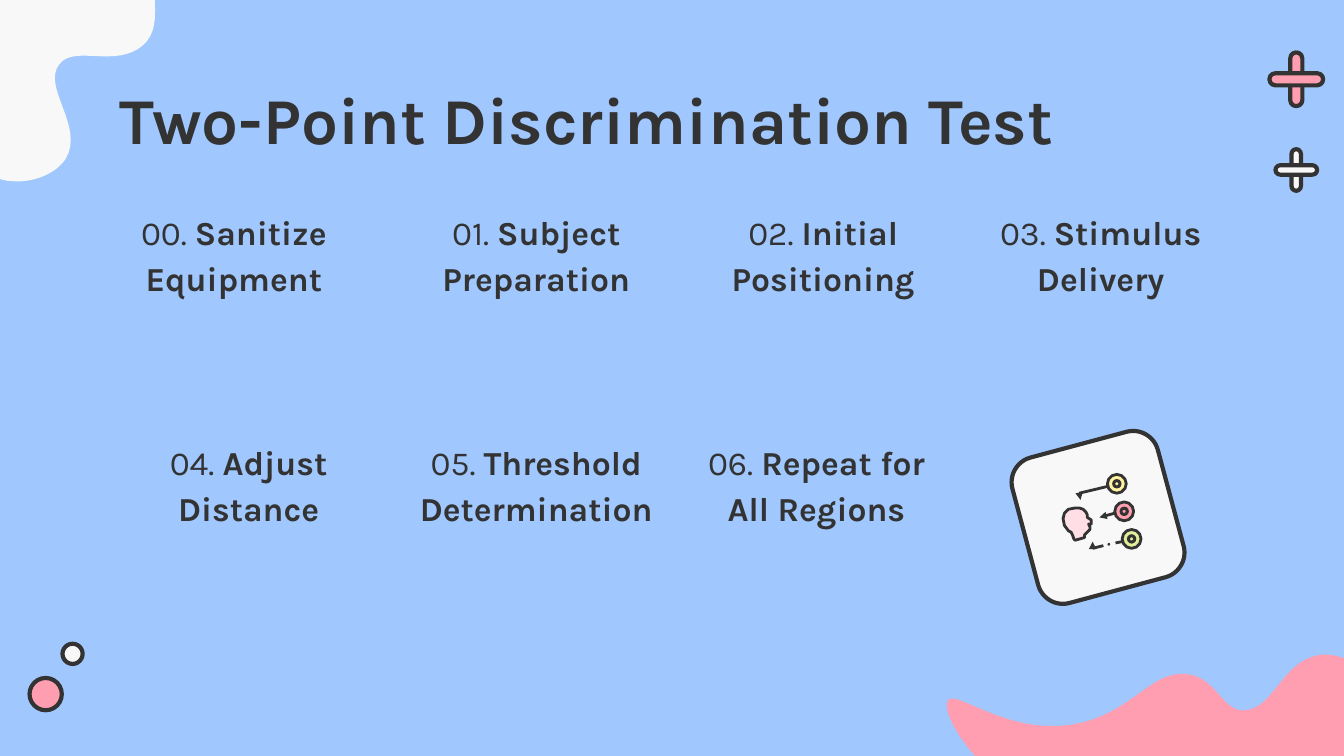
from lxml import etree
from pptx import Presentation
from pptx import util as u
from pptx.dml.color import RGBColor
from pptx.enum import shapes, text
from pptx.oxml.ns import qn

SKY = RGBColor(0xA0, 0xC8, 0xFF)
INK = RGBColor(0x33, 0x33, 0x33)
PAPER = RGBColor(0xF8, 0xF8, 0xF8)
PINK = RGBColor(0xFF, 0x9E, 0xB1)
BLUSH = RGBColor(0xFF, 0xDF, 0xE5)
YELLOW = RGBColor(0xFF, 0xF3, 0xA0)
GREEN = RGBColor(0xE0, 0xEF, 0x9B)

COLUMNS = 10
ROWS = COLUMNS * 9 / 16
CELL = u.Inches(1)
OUTLINE, ICON_LINE = 2.25, 1.5

TITLE_FORMAT = {"name": "Karla", "size": u.Pt(35), "bold": True}
NUMBER_FORMAT = {"name": "Karla", "size": u.Pt(18), "bold": False}
STEP_FORMAT = {**NUMBER_FORMAT, "bold": True}

STEP_ROWS = [
    (2.32, [(0.33, 2.82, "00. ", "Sanitize\nEquipment"),
            (2.93, 2.12, "01. ", "Subject Preparation"),
            (5.13, 1.99, "02. ", "Initial Positioning"),
            (7.13, 2.12, "03. ", "Stimulus Delivery")]),
    (4.03, [(0.79, 2.12, "04. ", "Adjust Distance"),
            (2.93, 2.12, "05. ", "Threshold Determination"),
            (5.08, 1.99, "06. ", "Repeat for All Regions")]),
]
CORNER_CURVES = [
    (0.13, 1.35), (0.25, 1.35), (0.41, 1.3), (0.49, 1.18), (0.63, 0.94), (0.31, 0.65),
    (0.44, 0.48), (0.55, 0.33), (0.86, 0.51), (1.06, 0.34), (1.26, 0.17), (1.05, -0.14),
    (1.22, -0.49), (1.44, -0.97), (2.14, -1), (2.12, -1.11), (2.1, -1.27), (0.7, -1.52),
    (-0.15, -0.72), (-0.25, -0.63), (-0.65, -0.26), (-0.66, 0.27), (-0.67, 0.81),
    (-0.27, 1.36), (0.13, 1.35)]
WAVE_CURVES = [
    (3.15, -0.02), (3.08, -0.08), (2.95, -0.15), (2.81, -0.13), (2.54, -0.08), (2.48, 0.26),
    (2.27, 0.28), (2.09, 0.3), (2.06, 0.03), (1.82, 0.01), (1.57, -0.01), (1.44, 0.27),
    (1.06, 0.37), (0.55, 0.5), (0.14, 0.14), (0.06, 0.2), (-0.06, 0.3), (0.52, 1.22),
    (1.63, 1.26), (1.76, 1.26), (2.28, 1.28), (2.71, 1.01), (3.15, 0.72), (3.38, 0.19),
    (3.15, -0.02)]
HEAD_POINTS = [
    (0.5, 0.63), (0.49, 0.61), (0.51, 0.61), (0.51, 0.58), (0.48, 0.56), (0.48, 0.54),
    (0.47, 0.52), (0.45, 0.5), (0.42, 0.49), (0.39, 0.49), (0.34, 0.5), (0.31, 0.53),
    (0.3, 0.57), (0.31, 0.62), (0.34, 0.66), (0.36, 0.67), (0.37, 0.69), (0.38, 0.72),
    (0.39, 0.73), (0.46, 0.71), (0.46, 0.69), (0.48, 0.67), (0.5, 0.65)]
ICON_ROUTES = [
    ([(0.63, 0.33), (0.42, 0.38), (0.43, 0.43)], True),
    ([(0.68, 0.53), (0.57, 0.56)], True),
    ([(0.74, 0.74), (0.69, 0.75)], False),
    ([(0.6, 0.77), (0.52, 0.79), (0.52, 0.74)], True),
]


def cells(*lengths):
    """Turn grid cells into slide lengths."""
    return [u.Emu(round(length * CELL)) for length in lengths]


def paint(shape, fill, weight=0):
    """Give a shape a flat fill and an ink outline, if it has a weight."""
    shape.shadow.inherit = False
    shape.fill.solid()
    shape.fill.fore_color.rgb = fill
    if weight:
        shape.line.color.rgb = INK
        shape.line.width = u.Pt(weight)
    else:
        shape.line.fill.background()


def add_preset(page, kind, box, fill, weight=0, turn=0, adjust=None):
    """Draw one preset shape in a box."""
    shape = page.shapes.add_shape(kind, *cells(*box))
    paint(shape, fill, weight)
    shape.rotation = turn
    if adjust is not None:
        shape.adjustments[0] = adjust


def add_disc(page, centre, size, fill, weight=0, kind=shapes.MSO_SHAPE.OVAL, adjust=None):
    """Draw a round shape about its centre."""
    x, y = centre
    add_preset(page, kind, (x - size / 2, y - size / 2, size, size), fill, weight, 0, adjust)


def add_outline(page, box, points, fill, weight=0):
    """Draw a closed outline from points relative to a box."""
    spots = [cells(box[0] + x, box[1] + y) for x, y in points]
    builder = page.shapes.build_freeform(*spots[0], scale=1.0)
    builder.add_line_segments(spots[1:], close=True)
    paint(builder.convert_to_shape(), fill, weight)


def trace(curves, steps=16):
    """Sample a chain of cubic curves into points."""
    points = []
    for start in range(0, len(curves) - 1, 3):
        for step in range(steps):
            t = step / steps
            shares = ((1 - t) ** 3, 3 * t * (1 - t) ** 2, 3 * t * t * (1 - t), t ** 3)
            knots = curves[start:start + 4]
            points.append(tuple(sum(s * k[axis] for s, k in zip(shares, knots))
                                for axis in (0, 1)))
    return points


def add_route(page, box, points, arrow):
    """Join points relative to a box, with an optional arrowhead at the end."""
    for start, end in zip(points, points[1:]):
        ends = [box[axis] + point[axis] for point in (start, end) for axis in (0, 1)]
        link = page.shapes.add_connector(shapes.MSO_CONNECTOR.STRAIGHT, *cells(*ends))
        link.line.color.rgb = INK
        link.line.width = u.Pt(ICON_LINE)
        if arrow and end == points[-1]:
            etree.SubElement(link.line._get_or_add_ln(), qn("a:tailEnd"),
                             type="triangle", w="sm", len="sm")
        etree.SubElement(link._element.spPr, qn("a:effectLst"))


def add_text(page, box, lines, anchor, layout):
    """Write lines of (words, format) spans in a box."""
    frame = page.shapes.add_textbox(*cells(*box)).text_frame
    margins = {f"margin_{side}": u.Inches(0.1) for side in ("left", "right", "top", "bottom")}
    for name, value in {**margins, "word_wrap": True, "vertical_anchor": anchor}.items():
        setattr(frame, name, value)
    for index, line in enumerate(lines):
        para = frame.add_paragraph() if index else frame.paragraphs[0]
        for name, value in layout.items():
            setattr(para, name, value)
        for words, style in line:
            span = para.add_run()
            span.text = words
            span.font.color.rgb = INK
            for name, value in style.items():
                setattr(span.font, name, value)


def add_step(page, box, number, label):
    """Write one numbered step on the floor of its box."""
    first, *rest = label.split("\n")
    lines = [[(number, NUMBER_FORMAT), (first, STEP_FORMAT)]]
    lines += [[(words, STEP_FORMAT)] for words in rest]
    add_text(page, box, lines, text.MSO_ANCHOR.BOTTOM,
             {"alignment": text.PP_ALIGN.CENTER, "line_spacing": 1.15})


def add_plus(page, box, fill):
    """Cross two rounded bars in a box."""
    for turn in (0, 90):
        add_preset(page, shapes.MSO_SHAPE.ROUNDED_RECTANGLE, box, fill, OUTLINE, turn, 0.5)


def add_decor(page, box):
    """Place the blobs, discs and pluses around the edges of a box."""
    left, top, width, height = box
    add_disc(page, (left + 0.54, top + height - 0.76), 0.15, PAPER, OUTLINE)
    add_disc(page, (left + 0.34, top + height - 0.46), 0.24, PINK, OUTLINE)
    add_plus(page, (left + width - 0.4, top + 0.39, 0.09, 0.4), PINK)
    add_plus(page, (left + width - 0.39, top + 1.11, 0.07, 0.31), PAPER)
    add_outline(page, box, trace(CORNER_CURVES), PAPER)
    add_outline(page, (left + width - 3, top + height - 0.62), trace(WAVE_CURVES), PINK)


def add_icon(page, box):
    """Draw the tilted tile with a head and three targets."""
    left, top = box[:2]
    add_preset(page, shapes.MSO_SHAPE.ROUNDED_RECTANGLE, box, PAPER, OUTLINE, 345, 0.17)
    add_outline(page, box, HEAD_POINTS, BLUSH, ICON_LINE)
    for index, fill in enumerate((YELLOW, PINK, GREEN)):
        centre = (left + 0.7 + 0.11 * index / 2, top + 0.31 + 0.41 * index / 2)
        add_disc(page, centre, 0.14, fill, ICON_LINE)
        add_disc(page, centre, 0.07, INK, kind=shapes.MSO_SHAPE.DONUT, adjust=0.33)
    for points, arrow in ICON_ROUTES:
        add_route(page, box, points, arrow)
    add_disc(page, (left + 0.64, top + 0.76), 0.02, INK)


def main():
    """Build the slide and save it."""
    deck = Presentation()
    deck.slide_width, deck.slide_height = cells(COLUMNS, ROWS)
    page = deck.slides.add_slide(deck.slide_layouts[6])
    page.background.fill.solid()
    page.background.fill.fore_color.rgb = SKY
    add_decor(page, (0, 0, COLUMNS, ROWS))
    add_text(page, (0.79, 0.49, 8.43, 0.63), [[("Two-Point Discrimination Test", TITLE_FORMAT)]],
             text.MSO_ANCHOR.TOP, {"alignment": text.PP_ALIGN.LEFT})
    for floor, steps in STEP_ROWS:
        for left, width, number, label in steps:
            add_step(page, (left, floor - 0.55, width, 0.55), number, label)
    add_icon(page, (7.61, 3.29, 1.12, 1.12))
    deck.save("out.pptx")


if __name__ == "__main__":
    main()
